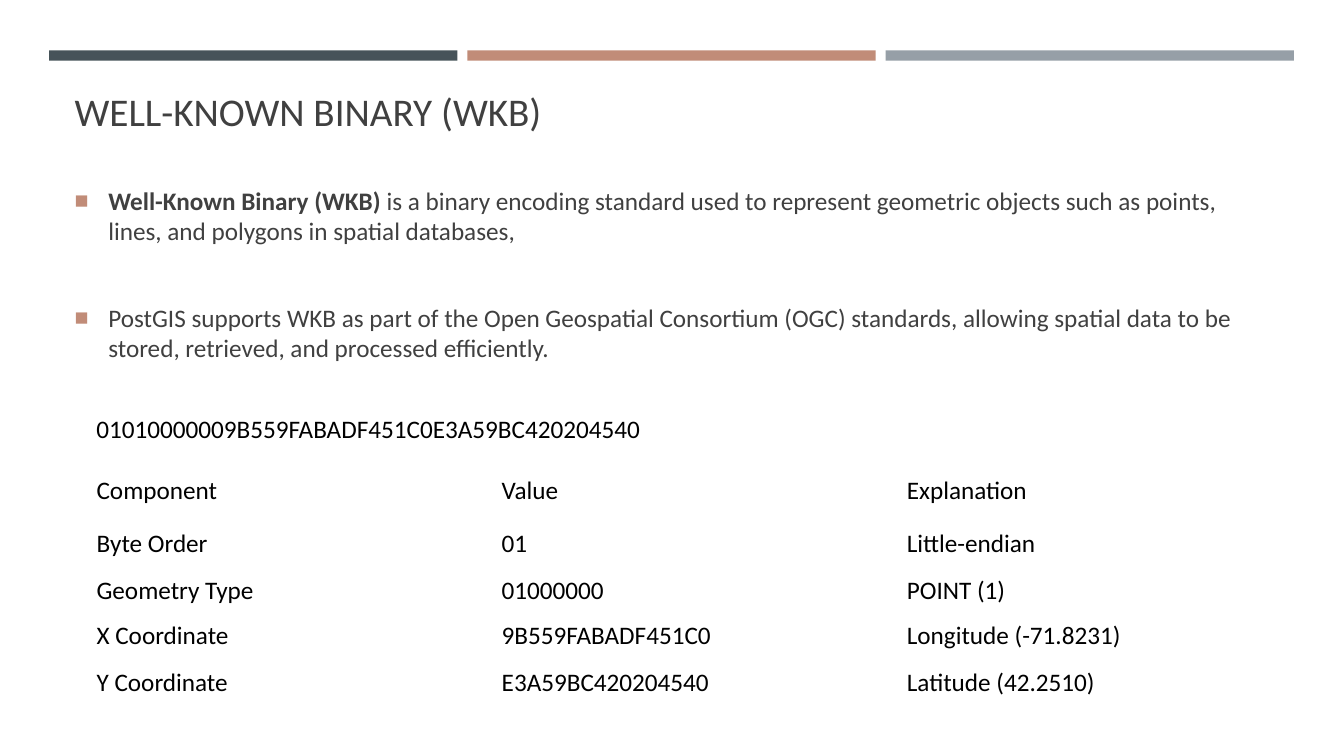
from lxml.etree import SubElement
from pptx import Presentation
from pptx.dml.color import RGBColor
from pptx.enum.shapes import MSO_SHAPE as Preset
from pptx.enum.text import MSO_ANCHOR as Anchor
from pptx.oxml.ns import qn
from pptx.util import Cm, Pt

ACCENT = "C18C78"
BODY_GREY = "404040"
BLACK = "000000"


def rgb(hex_code):
    return RGBColor.from_string(hex_code)


def style(target, values):
    for name, value in values.items():
        setattr(target, name, value)


class WkbSlide:
    """Holds the text style and the slide that elements are added to."""

    def __init__(self, deck, font="Calibri"):
        self.slide = deck.slides.add_slide(deck.slide_layouts[6])
        self.font = font

    def bar(self, left, top, width, height, color):
        stripe = self.slide.shapes.add_shape(
            Preset.RECTANGLE, Cm(left), Cm(top), Cm(width), Cm(height))
        stripe.shadow.inherit = False
        stripe.fill.solid()
        stripe.fill.fore_color.rgb = rgb(color)
        stripe.line.fill.background()

    def add_runs(self, paragraph, pieces, size, color):
        for words, bold in pieces:
            run = paragraph.add_run()
            run.text = words
            style(run.font, {"name": self.font, "size": Pt(size), "bold": bold})
            run.font.color.rgb = rgb(color)

    def text(self, box, paragraphs, size, color, anchor=Anchor.TOP, bullet=False, gap=0):
        frame = self.slide.shapes.add_textbox(*map(Cm, box)).text_frame
        style(frame, {"word_wrap": True, "vertical_anchor": anchor})
        for index, pieces in enumerate(paragraphs):
            paragraph = frame.add_paragraph() if index else frame.paragraphs[0]
            if bullet:
                self.bullet(paragraph)
            if index:
                paragraph.space_before = Pt(gap)
            self.add_runs(paragraph, pieces, size, color)

    def bullet(self, paragraph):
        properties = paragraph._p.get_or_add_pPr()
        properties.set("marL", str(Cm(0.85)))
        properties.set("indent", str(-Cm(0.85)))
        tint = SubElement(properties, qn("a:buClr"))
        SubElement(tint, qn("a:srgbClr"), val=ACCENT)
        SubElement(properties, qn("a:buSzPct"), val="92000")
        SubElement(properties, qn("a:buFont"), typeface="Arial")
        SubElement(properties, qn("a:buChar"), char="■")

    def table_row(self, left, top, column_width, height, values):
        table = self.slide.shapes.add_table(
            1, len(values), Cm(left), Cm(top),
            Cm(column_width * len(values)), Cm(height)).table
        style(table, {"first_row": False, "horz_banding": False})
        for cell, value in zip(table.rows[0].cells, values):
            cell.fill.background()
            cell.vertical_anchor = Anchor.MIDDLE
            self.add_runs(cell.text_frame.paragraphs[0], [(value, False)], 18, BLACK)


def main():
    deck = Presentation()
    style(deck, {"slide_width": Cm(33.87), "slide_height": Cm(19.05)})
    page = WkbSlide(deck)

    for index, color in enumerate(["465359", ACCENT, "969FA7"]):
        page.bar(1.24 + index * 10.54, 1.27, 10.29, 0.26, color)

    page.text((1.63, 1.98, 30.63, 1.52), [[("WELL-KNOWN BINARY (WKB)", False)]],
              28, BODY_GREY, Anchor.BOTTOM)

    definition = [
        ("Well-Known Binary (WKB)", True),
        (" is a binary encoding standard used to represent geometric objects "
         "such as points, lines, and polygons in spatial databases,", False),
    ]
    support = [
        ("PostGIS supports WKB as part of the Open Geospatial Consortium (OGC) "
         "standards, allowing spatial data to be stored, retrieved, and "
         "processed efficiently.", False),
    ]
    page.text((1.63, 4.02, 30.63, 5.77), [definition, support],
              18, BODY_GREY, Anchor.MIDDLE, bullet=True, gap=40)

    page.text((2.18, 10.29, 16.94, 1.02),
              [[("01010000009B559FABADF451C0E3A59BC420204540", False)]], 18, BLACK)

    components = [
        (11.86, ["Component", "Value", "Explanation"]),
        (13.18, ["Byte Order", "01", "Little-endian"]),
        (14.38, ["Geometry Type", "01000000", "POINT (1)"]),
        (15.52, ["X Coordinate", "9B559FABADF451C0", "Longitude (-71.8231)"]),
        (16.69, ["Y Coordinate", "E3A59BC420204540", "Latitude (42.2510)"]),
    ]
    for top, values in components:
        page.table_row(2.18, top, 10.21, 1.02, values)

    deck.save("out.pptx")


if __name__ == "__main__":
    main()
